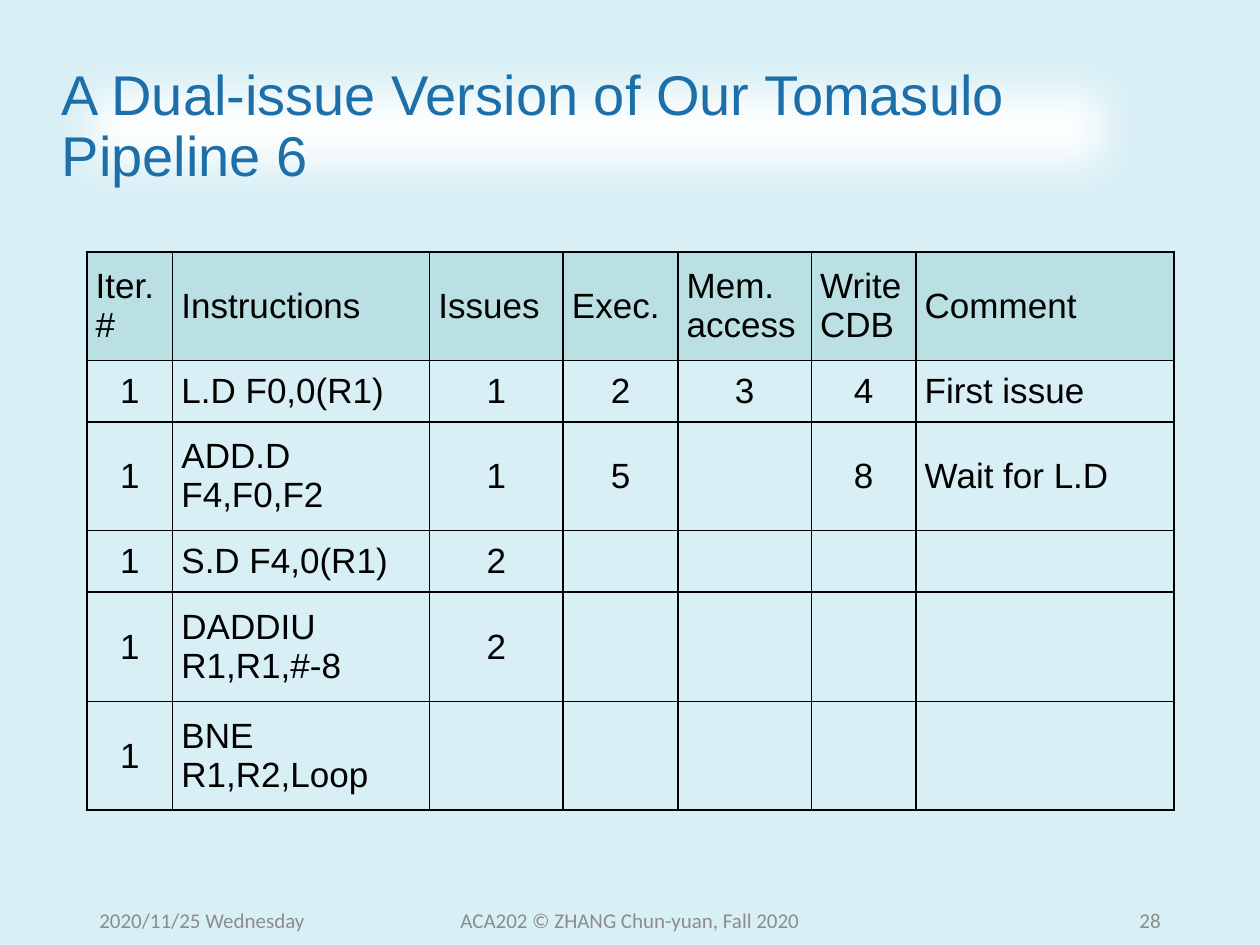
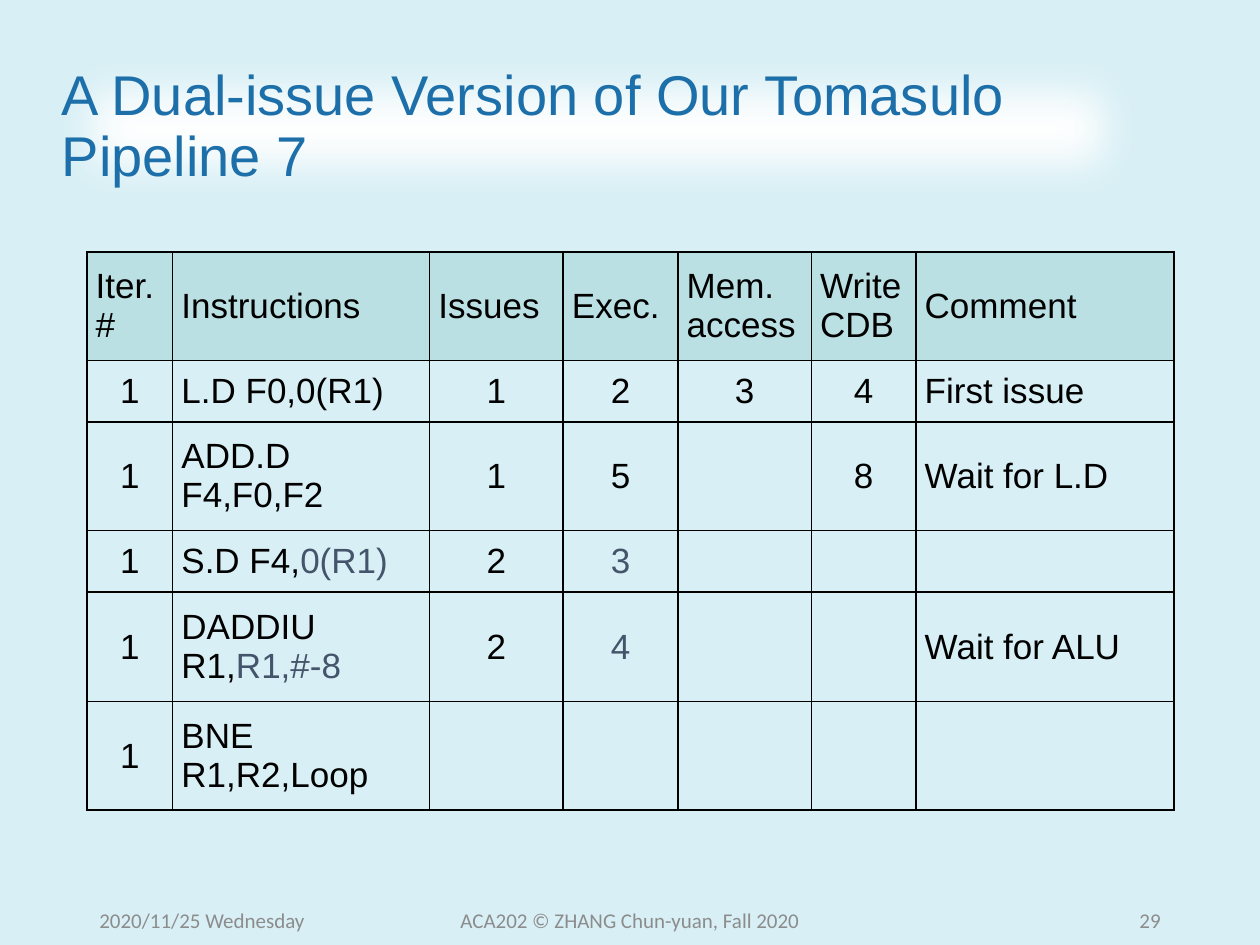
from lxml import etree
from pptx import Presentation
from pptx import util as u
from pptx.dml import color as dml_color
from pptx.enum import text as t
from pptx.oxml import ns

BACKGROUND = "D7EFF5"
TITLE_BLUE = "1D6FA9"
TITLE_BAND = "FFFFFF"
HEADER_TEAL = "BBE0E3"
INK = "000000"
NEW_STEP = "44546A"
FOOTER_GREY = "8C8C8C"
MARK = "|"

LEFT, CENTER, RIGHT, JUSTIFY = (
    t.PP_ALIGN.LEFT, t.PP_ALIGN.CENTER, t.PP_ALIGN.RIGHT, t.PP_ALIGN.JUSTIFY)

COLUMN_WIDTHS = [0.68, 2.04, 1.06, 0.91, 1.06, 0.83, 2.05]
ROW_HEIGHTS = [0.86, 0.49, 0.86, 0.49, 0.87, 0.86]
LEFT_COLUMNS = (1, 6)

HEADINGS = ["Iter. #", "Instructions", "Issues", "Exec.", "Mem. access",
            "Write CDB", "Comment"]
ISSUED = [
    ["1", "L.D F0,0(R1)", "1", "2", "3", "4", "First issue"],
    ["1", "ADD.D F4,F0,F2", "1", "5", "", "8", "Wait for L.D"],
]
BRANCH = ["1", "BNE R1,R2,Loop", "", "", "", "", ""]
STEPS = [
    (6, 28, [["1", "S.D F4,0(R1)", "2", "", "", "", ""],
             ["1", "DADDIU R1,R1,#-8", "2", "", "", "", ""]]),
    (7, 29, [["1", "S.D F4,|0(R1)", "2", "|3", "", "", ""],
             ["1", "DADDIU R1,|R1,#-8", "2", "|4", "", "", "Wait for ALU"]]),
]


def rgb(value):
    return dml_color.RGBColor.from_string(value)


def fill_solid(fill, value):
    fill.solid()
    fill.fore_color.rgb = rgb(value)


def write(frame, content, size=20, font="Arial", color=INK, align=LEFT,
          spacing=None):
    """Write one paragraph; the part after MARK takes the new-step colour."""
    paragraph = frame.paragraphs[0]
    paragraph.alignment = align
    if spacing:
        paragraph.line_spacing = spacing
    for part, part_color in zip(content.split(MARK), (color, NEW_STEP)):
        if part:
            run = paragraph.add_run()
            run.text = part
            run.font.size = u.Pt(size)
            run.font.name = font
            run.font.bold = False
            run.font.color.rgb = rgb(part_color)


def soften_edges(shape, radius):
    effects = etree.SubElement(shape._element.spPr, ns.qn("a:effectLst"))
    etree.SubElement(effects, ns.qn("a:softEdge"), rad=str(radius))


def add_title(slide, content):
    title = slide.shapes.title
    title.left, title.top = u.Inches(0.39), u.Inches(0.4)
    title.width, title.height = u.Inches(8.69), u.Inches(1.23)
    fill_solid(title.fill, TITLE_BAND)
    soften_edges(title, u.Pt(25))
    title.text_frame.auto_size = t.MSO_AUTO_SIZE.NONE
    title.text_frame.vertical_anchor = t.MSO_ANCHOR.MIDDLE
    write(title.text_frame, content, size=32, color=TITLE_BLUE, spacing=0.9)


def add_borders(cell):
    properties = cell._tc.get_or_add_tcPr()
    for side in ("lnL", "lnR", "lnT", "lnB"):
        border = etree.SubElement(properties, ns.qn(f"a:{side}"),
                                  w=str(u.Pt(1)))
        ink = etree.SubElement(border, ns.qn("a:solidFill"))
        etree.SubElement(ink, ns.qn("a:srgbClr"), val=INK)


def format_cell(cell, content, align, header):
    cell.vertical_anchor = t.MSO_ANCHOR.MIDDLE
    cell.margin_left = cell.margin_right = u.Inches(0.07)
    cell.margin_top = cell.margin_bottom = u.Inches(0.04)
    add_borders(cell)
    if header:
        fill_solid(cell.fill, HEADER_TEAL)
    else:
        cell.fill.background()
    write(cell.text_frame, content, align=align)


def add_pipeline_table(slide, rows):
    pipeline = slide.shapes.add_table(
        len(rows), len(COLUMN_WIDTHS), u.Inches(0.69), u.Inches(2),
        u.Inches(sum(COLUMN_WIDTHS)), u.Inches(sum(ROW_HEIGHTS))).table
    pipeline.first_row = pipeline.horz_banding = False
    for column, width in zip(pipeline.columns, COLUMN_WIDTHS):
        column.width = u.Inches(width)
    for row, height in zip(pipeline.rows, ROW_HEIGHTS):
        row.height = u.Inches(height)
    for r, row in enumerate(rows):
        for c, content in enumerate(row):
            header = r == 0
            align = JUSTIFY if header or c in LEFT_COLUMNS else CENTER
            format_cell(pipeline.cell(r, c), content, align, header)


def add_footer(slide, page):
    for left, width, content, align in (
            (0.69, 2.25, "2020/11/25 Wednesday", LEFT),
            (3.31, 3.38, "ACA202 © ZHANG Chun-yuan, Fall 2020", CENTER),
            (7.06, 2.25, str(page), RIGHT)):
        frame = slide.shapes.add_textbox(
            u.Inches(left), u.Inches(7.1), u.Inches(width),
            u.Inches(0.4)).text_frame
        frame.word_wrap = True
        frame.vertical_anchor = t.MSO_ANCHOR.MIDDLE
        write(frame, content, size=12, font="Calibri", color=FOOTER_GREY,
              align=align)


def main():
    deck = Presentation()
    deck.slide_width, deck.slide_height = u.Inches(10), u.Inches(7.5)
    for step, page, pending in STEPS:
        slide = deck.slides.add_slide(deck.slide_layouts[5])
        fill_solid(slide.background.fill, BACKGROUND)
        add_title(slide,
                  f"A Dual-issue Version of Our Tomasulo Pipeline {step}")
        add_pipeline_table(slide, [HEADINGS, *ISSUED, *pending, BRANCH])
        add_footer(slide, page)
    deck.save("out.pptx")


if __name__ == "__main__":
    main()
